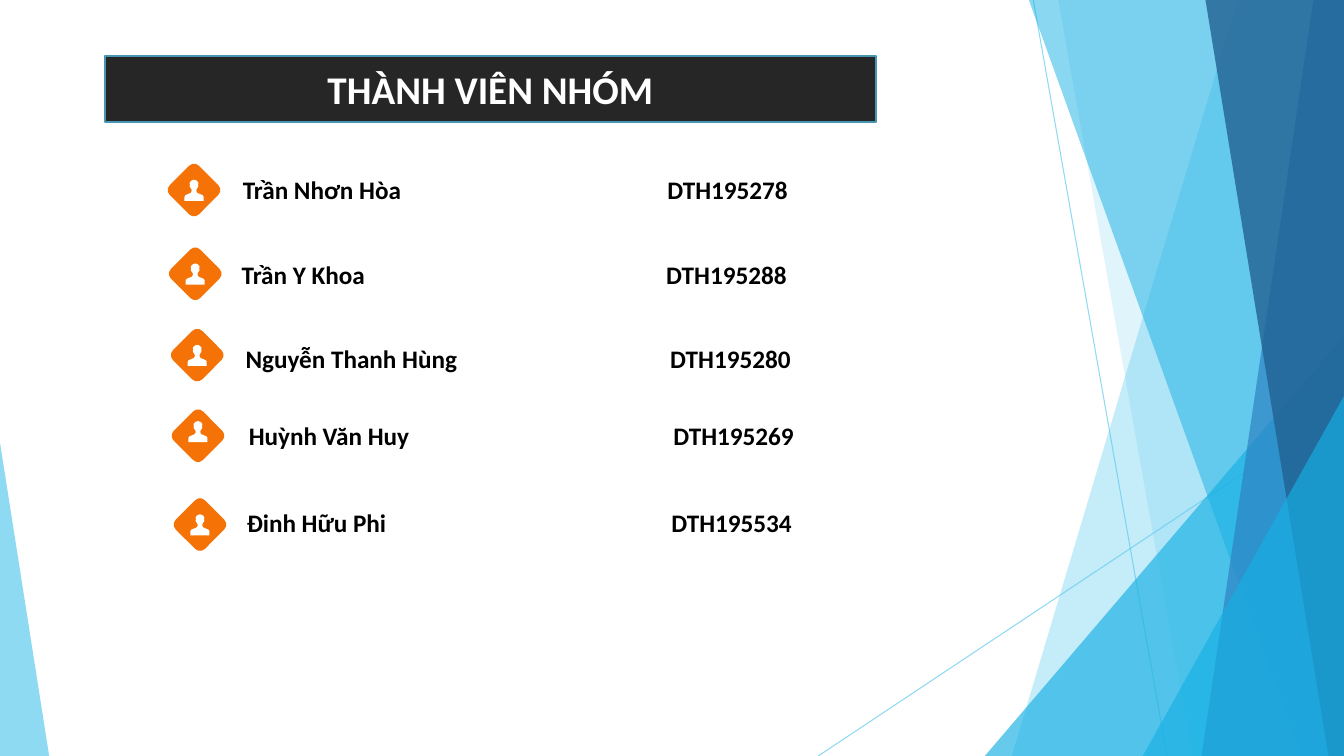
from lxml import etree
from pptx import Presentation
from pptx.dml.color import RGBColor
from pptx.enum.shapes import MSO_CONNECTOR, MSO_SHAPE
from pptx.enum.text import MSO_ANCHOR, MSO_AUTO_SIZE, PP_ALIGN
from pptx.oxml.ns import qn
from pptx.util import Cm, Pt

ROUNDED, TRIANGLE = MSO_SHAPE.ROUNDED_RECTANGLE, MSO_SHAPE.ISOSCELES_TRIANGLE
STRAIGHT = MSO_CONNECTOR.STRAIGHT
MIDDLE = MSO_ANCHOR.MIDDLE
CENTER, JUSTIFY, LEFT = PP_ALIGN.CENTER, PP_ALIGN.JUSTIFY, PP_ALIGN.LEFT
NO_FIT, GROW = MSO_AUTO_SIZE.NONE, MSO_AUTO_SIZE.SHAPE_TO_FIT_TEXT

WIDTH, HEIGHT = 33.87, 19.05
SKY, CYAN, BLUE, NAVY = "5FCBEF", "17B0E4", "2E83C3", "226292"
ORANGE, WHITE, BLACK = "F57306", "FFFFFF", "000000"
BADGE = 1.04   # side of the orange badge
ID_TAB = 10.7  # start of the student number column

# Right half of the person symbol: distance from its axis and from its top
PERSON_HALF = [(0, 0), (0.06, 0.02), (0.1, 0.06), (0.11, 0.09), (0.1, 0.13),
               (0.11, 0.15), (0.1, 0.19), (0.09, 0.2), (0.06, 0.25),
               (0.06, 0.29), (0.08, 0.33), (0.15, 0.36), (0.22, 0.39),
               (0.24, 0.43), (0.24, 0.53)]


def rgb(value):
    return RGBColor.from_string(value)


def set_alpha(element, percent):
    for color in element.iter(qn("a:srgbClr")):
        etree.SubElement(color, qn("a:alpha"), val=str(percent * 1000))


class Deck:
    font = "Calibri"

    def __init__(self, prs):
        self.s = prs.slides.add_slide(prs.slide_layouts[5])

    def paint(self, sp, fill, alpha=100):
        sp.shadow.inherit = False
        sp.fill.solid()
        sp.fill.fore_color.rgb = rgb(fill)
        sp.line.fill.background()
        if alpha < 100:
            set_alpha(sp.element.spPr, alpha)
        return sp

    def shape(self, kind, x, y, w, h, fill, alpha=100, adj=None, rotation=0):
        sp = self.s.shapes.add_shape(kind, Cm(x), Cm(y), Cm(w), Cm(h))
        sp.rotation = rotation
        if adj is not None:
            sp.adjustments[0] = adj
        return self.paint(sp, fill, alpha)

    def polygon(self, points, fill, alpha=100):
        points = [(Cm(x), Cm(y)) for x, y in points]
        builder = self.s.shapes.build_freeform(*points[0])
        builder.add_line_segments(points[1:], close=True)
        return self.paint(builder.convert_to_shape(), fill, alpha)

    def line(self, x1, y1, x2, y2, color, alpha):
        cn = self.s.shapes.add_connector(STRAIGHT, Cm(x1), Cm(y1), Cm(x2), Cm(y2))
        cn.line.color.rgb = rgb(color)
        cn.line.width = Pt(0.75)
        spPr = cn.element.spPr
        set_alpha(spPr, alpha)
        etree.SubElement(spPr, qn("a:effectLst"))

    def add_text(self, tf, text, size, color, align):
        p = tf.paragraphs[0]
        p.alignment = align
        r = p.add_run()
        r.text = text
        style = {"name": self.font, "size": Pt(size), "bold": True}
        for key, value in style.items():
            setattr(r.font, key, value)
        r.font.color.rgb = rgb(color)
        return p

    def title(self, text, x, y, w, h):
        sp = self.s.shapes.title
        box = {"left": Cm(x), "top": Cm(y), "width": Cm(w), "height": Cm(h)}
        for key, value in box.items():
            setattr(sp, key, value)
        geometry = etree.SubElement(sp.element.spPr, qn("a:prstGeom"), prst="roundRect")
        etree.SubElement(geometry, qn("a:avLst"))
        # Placeholders have no shadow of their own
        sp.fill.solid()
        sp.fill.fore_color.rgb = rgb("262626")
        sp.line.color.rgb = rgb("4696B1")
        sp.line.width = Pt(1.5)
        tf = sp.text_frame
        tf.auto_size, tf.vertical_anchor = NO_FIT, MIDDLE
        self.add_text(tf, text, 28, WHITE, CENTER)

    def tabbed_text(self, text, x, y, w, align):
        tf = self.s.shapes.add_textbox(Cm(x), Cm(y), Cm(w), Cm(1.02)).text_frame
        tf.word_wrap, tf.auto_size = True, GROW
        p = self.add_text(tf, text, 18, BLACK, align)
        tabs = etree.Element(qn("a:tabLst"))
        etree.SubElement(tabs, qn("a:tab"), pos=str(Cm(ID_TAB)), algn="l")
        p._p.get_or_add_pPr().append(tabs)

    def wedge(self, top_x, bottom_x, fill, alpha):
        self.polygon([(top_x, 0), (WIDTH, 0), (WIDTH, HEIGHT), (bottom_x, HEIGHT)],
                     fill, alpha)

    def corner(self, x, y, w, fill, alpha, apex):
        self.shape(TRIANGLE, x, y, w, HEIGHT - y, fill, alpha, apex)

    def badge(self, x, y, person_offset):
        self.shape(ROUNDED, x, y, BADGE, BADGE, ORANGE, rotation=45)
        axis, top = x + BADGE / 2, y + person_offset
        right = [(axis + dx, top + dy) for dx, dy in PERSON_HALF]
        left = [(axis - dx, top + dy) for dx, dy in reversed(PERSON_HALF[1:])]
        self.polygon(right + left, WHITE)


def main():
    prs = Presentation()
    prs.slide_width, prs.slide_height = Cm(WIDTH), Cm(HEIGHT)
    deck = Deck(prs)

    # Backdrop of translucent facets
    deck.line(26.04, 0, 29.41, HEIGHT, SKY, 70)
    deck.line(WIDTH, 10.24, 20.62, HEIGHT, SKY, 70)
    deck.wedge(31.19, 25.5, SKY, 36)
    deck.wedge(26.67, 30.05, SKY, 20)
    deck.corner(24.82, 8.46, 9.05, CYAN, 66, 1)
    deck.wedge(25.93, 32.79, CYAN, 50)
    deck.wedge(33.1, 30.28, BLUE, 70)
    deck.wedge(30.38, 33.48, NAVY, 80)
    deck.corner(28.8, 9.98, 5.07, CYAN, 66, 1)
    deck.corner(0, 11.15, 1.24, SKY, 70, 0)

    # Title bar
    deck.title("THÀNH VIÊN NHÓM", 2.64, 1.42, 19.43, 1.65)

    # Members: name, number, badge x and y, person offset, text x, y, width, alignment
    members = [
        ("Trần Nhơn Hòa", "DTH195278", 4.37, 4.27, 0.26, 5.87, 4.27, 17.78, JUSTIFY),
        ("Trần Y Khoa", "DTH195288", 4.4, 6.38, 0.26, 5.84, 6.4, 17.6, JUSTIFY),
        ("Nguyễn Thanh Hùng", "DTH195280", 4.45, 8.43, 0.26, 5.94, 8.53, 17.63, LEFT),
        ("Huỳnh Văn Huy", "DTH195269", 4.47, 10.46, 0.15, 6.02, 10.46, 17.75, LEFT),
        ("Đinh Hữu Phi", "DTH195534", 4.52, 12.7, 0.26, 5.97, 12.67, 17.91, LEFT),
    ]
    for name, number, badge_x, badge_y, offset, x, y, w, align in members:
        deck.badge(badge_x, badge_y, offset)
        deck.tabbed_text(f"{name}\t{number}", x, y, w, align)

    prs.save("out.pptx")


if __name__ == "__main__":
    main()
